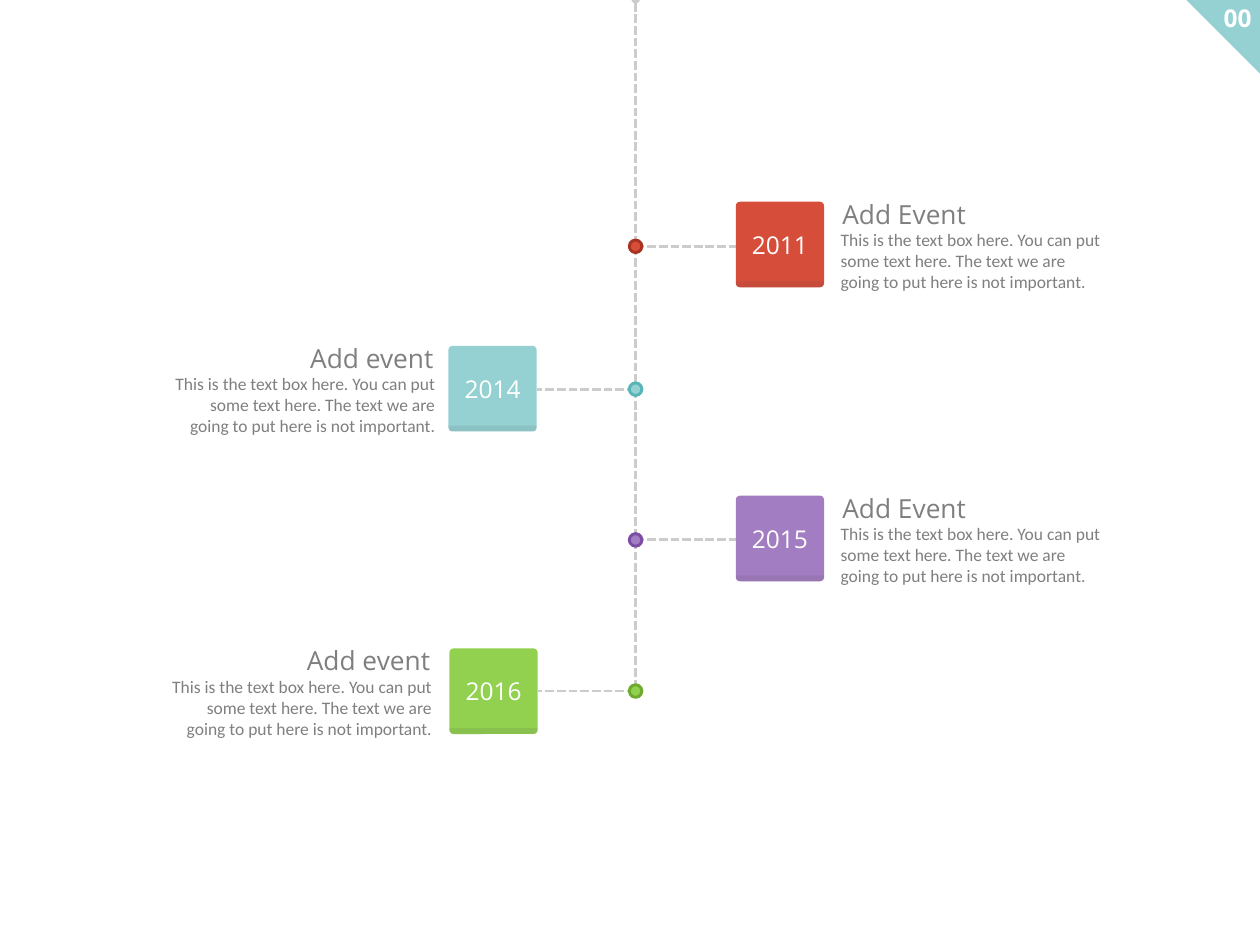
"""Build a vertical timeline slide with four dated events."""
from dataclasses import dataclass
from itertools import pairwise

import pptx
import pptx.dml.color
import pptx.enum.dml
import pptx.enum.shapes
import pptx.enum.text
import pptx.oxml
import pptx.oxml.ns
import pptx.shapes.autoshape
import pptx.shapes.connector
import pptx.shapes.shapetree
import pptx.util
from lxml import etree

Cm = pptx.util.Cm
Pt = pptx.util.Pt
Kind = pptx.enum.shapes.MSO_SHAPE
Align = pptx.enum.text.PP_ALIGN
Anchor = pptx.enum.text.MSO_ANCHOR
qn = pptx.oxml.ns.qn

COLORS = {
    "red": "D64D3A", "red_ring": "A93323",
    "teal": "95D1D2", "teal_ring": "56B6B7",
    "purple": "A27DC2", "purple_ring": "7B4CA3",
    "green": "92D050", "green_ring": "6EAA2E",
    "dash": "CCCCCC", "text": "7F7F7F", "white": "FFFFFF", "shade": "404040",
}
HEADING_FONT = "Open Sans"
BODY_FONT = "Calibri"
BODY = ("This is the text box here. You can put some text here. "
        "The text we are going to put here is not important.")

SLIDE_WIDTH, SLIDE_HEIGHT = 38.1, 28.58
SPINE_X, SPINE_TOP = 19.22, -0.03
NODE_SIZE = 0.38
CARD_WIDTH, CARD_HEIGHT, SHADE_HEIGHT = 2.67, 2.59, 0.18
HEADING_WIDTH, HEADING_HEIGHT = 4.28, 1.22
BODY_WIDTH, BODY_HEIGHT = 8.38, 2.18
HEADING_INDENT = 0.05
CORNER_SIZE = 2.26


@dataclass(frozen=True)
class Event:
    year: str
    heading: str
    color: str
    node_y: float
    card_left: float
    card_top: float
    text_edge: float

    @property
    def on_right(self) -> bool:
        return self.card_left > SPINE_X


@dataclass(frozen=True)
class TextStyle:
    font: str
    size: float
    color: str
    bold: bool = False


HEADING_STYLE = TextStyle(HEADING_FONT, 22.5, "text")
BODY_STYLE = TextStyle(BODY_FONT, 15, "text")
YEAR_STYLE = TextStyle(HEADING_FONT, 21, "white")
NUMBER_STYLE = TextStyle(HEADING_FONT, 21, "white", True)

EVENTS = [
    Event("2011", "Add Event", "red", 7.45, 22.25, 6.1, 25.17),
    Event("2014", "Add event", "teal", 11.77, 13.56, 10.46, 13.41),
    Event("2015", "Add Event", "purple", 16.33, 22.25, 14.99, 25.17),
    Event("2016", "Add event", "green", 20.9, 13.59, 19.61, 13.31),
]

Shapes = pptx.shapes.shapetree.SlideShapes | pptx.shapes.shapetree.GroupShapes
Shape = pptx.shapes.autoshape.Shape
Connector = pptx.shapes.connector.Connector


def rgb(name: str) -> pptx.dml.color.RGBColor:
    return pptx.dml.color.RGBColor.from_string(COLORS[name])


def add_filled(shapes: Shapes, kind: Kind, left: float, top: float, width: float,
               height: float, color: str, adjustments: tuple[float, ...] = ()) -> Shape:
    shape = shapes.add_shape(kind, Cm(left), Cm(top), Cm(width), Cm(height))
    shape.shadow.inherit = False
    shape.fill.solid()
    shape.fill.fore_color.rgb = rgb(color)
    shape.line.fill.background()
    for index, value in enumerate(adjustments):
        shape.adjustments[index] = value
    return shape


def write(shape: Shape, text: str, style: TextStyle, alignment: Align) -> None:
    paragraph = shape.text_frame.paragraphs[0]
    paragraph.alignment = alignment
    run = paragraph.add_run()
    run.text = text
    run.font.name = style.font
    run.font.size = Pt(style.size)
    run.font.bold = style.bold
    run.font.color.rgb = rgb(style.color)


def add_text(shapes: Shapes, left: float, top: float, width: float, height: float,
             text: str, style: TextStyle, alignment: Align, wrap: bool = False) -> None:
    box = shapes.add_textbox(Cm(left), Cm(top), Cm(width), Cm(height))
    box.text_frame.word_wrap = wrap
    box.text_frame.auto_size = pptx.enum.text.MSO_AUTO_SIZE.SHAPE_TO_FIT_TEXT
    write(box, text, style, alignment)


def add_dashes(shapes: Shapes, start: tuple[float, float],
               end: tuple[float, float]) -> Connector:
    connector = shapes.add_connector(
        pptx.enum.shapes.MSO_CONNECTOR.STRAIGHT,
        *(Cm(value) for value in (*start, *end)))
    connector.line.color.rgb = rgb("dash")
    connector.line.width = Pt(2.5)
    connector.line.dash_style = pptx.enum.dml.MSO_LINE.SQUARE_DOT
    properties = connector.element.find(qn("p:spPr"))
    etree.SubElement(properties, qn("a:effectLst"))
    return connector


def add_spine(shapes: Shapes) -> None:
    stops = [SPINE_TOP, *(event.node_y for event in EVENTS)]
    segments = [add_dashes(shapes, (SPINE_X, top), (SPINE_X, bottom))
                for top, bottom in pairwise(stops)]
    outline = segments[0].element.find(qn("p:spPr")).find(qn("a:ln"))
    for end in ("a:headEnd", "a:tailEnd"):
        etree.SubElement(outline, qn(end), type="oval")


def add_node(shapes: Shapes, event: Event) -> None:
    card_edge = event.card_left + (0 if event.on_right else CARD_WIDTH)
    add_dashes(shapes, (SPINE_X, event.node_y), (card_edge, event.node_y))
    node = add_filled(shapes, Kind.OVAL, SPINE_X - NODE_SIZE / 2,
                      event.node_y - NODE_SIZE / 2, NODE_SIZE, NODE_SIZE, event.color)
    node.line.color.rgb = rgb(f"{event.color}_ring")
    node.line.width = Pt(2.5)


def add_card(shapes: Shapes, event: Event) -> None:
    group = shapes.add_group_shape().shapes
    if event.on_right:
        alignment = Align.LEFT
        body_left = event.text_edge
        heading_left = event.text_edge + HEADING_INDENT
    else:
        alignment = Align.RIGHT
        body_left = event.text_edge - BODY_WIDTH
        heading_left = event.text_edge - HEADING_INDENT - HEADING_WIDTH
    add_text(group, heading_left, event.card_top - 0.24, HEADING_WIDTH, HEADING_HEIGHT,
             event.heading, HEADING_STYLE, alignment)
    add_text(group, body_left, event.card_top + 0.71, BODY_WIDTH, BODY_HEIGHT,
             BODY, BODY_STYLE, alignment, wrap=True)
    card = add_filled(group, Kind.ROUNDED_RECTANGLE, event.card_left, event.card_top,
                      CARD_WIDTH, CARD_HEIGHT, event.color, (0.05,))
    card.text_frame.vertical_anchor = Anchor.MIDDLE
    write(card, event.year, YEAR_STYLE, Align.CENTER)
    shade = add_filled(group, Kind.ROUND_2_SAME_RECTANGLE, event.card_left,
                       event.card_top + CARD_HEIGHT - SHADE_HEIGHT,
                       CARD_WIDTH, SHADE_HEIGHT, "shade", (0, 0.5))
    color = shade.element.spPr.find(qn("a:solidFill")).find(qn("a:srgbClr"))
    etree.SubElement(color, qn("a:alpha"), val="10000")


def add_corner(shapes: Shapes) -> None:
    group = shapes.add_group_shape().shapes
    corner = add_filled(group, Kind.ISOSCELES_TRIANGLE, SLIDE_WIDTH - CORNER_SIZE,
                        SPINE_TOP, CORNER_SIZE, CORNER_SIZE, "teal", (0,))
    corner.rotation = 180
    add_text(group, 36.73, SPINE_TOP, 1.37, 1.14, "00", NUMBER_STYLE, Align.RIGHT)


def main() -> None:
    presentation = pptx.Presentation()
    presentation.slide_width = Cm(SLIDE_WIDTH)
    presentation.slide_height = Cm(SLIDE_HEIGHT)
    slide = presentation.slides.add_slide(presentation.slide_layouts[6])
    add_corner(slide.shapes)
    add_spine(slide.shapes)
    for event in EVENTS:
        add_node(slide.shapes, event)
        add_card(slide.shapes, event)
    presentation.save("out.pptx")


if __name__ == "__main__":
    main()
